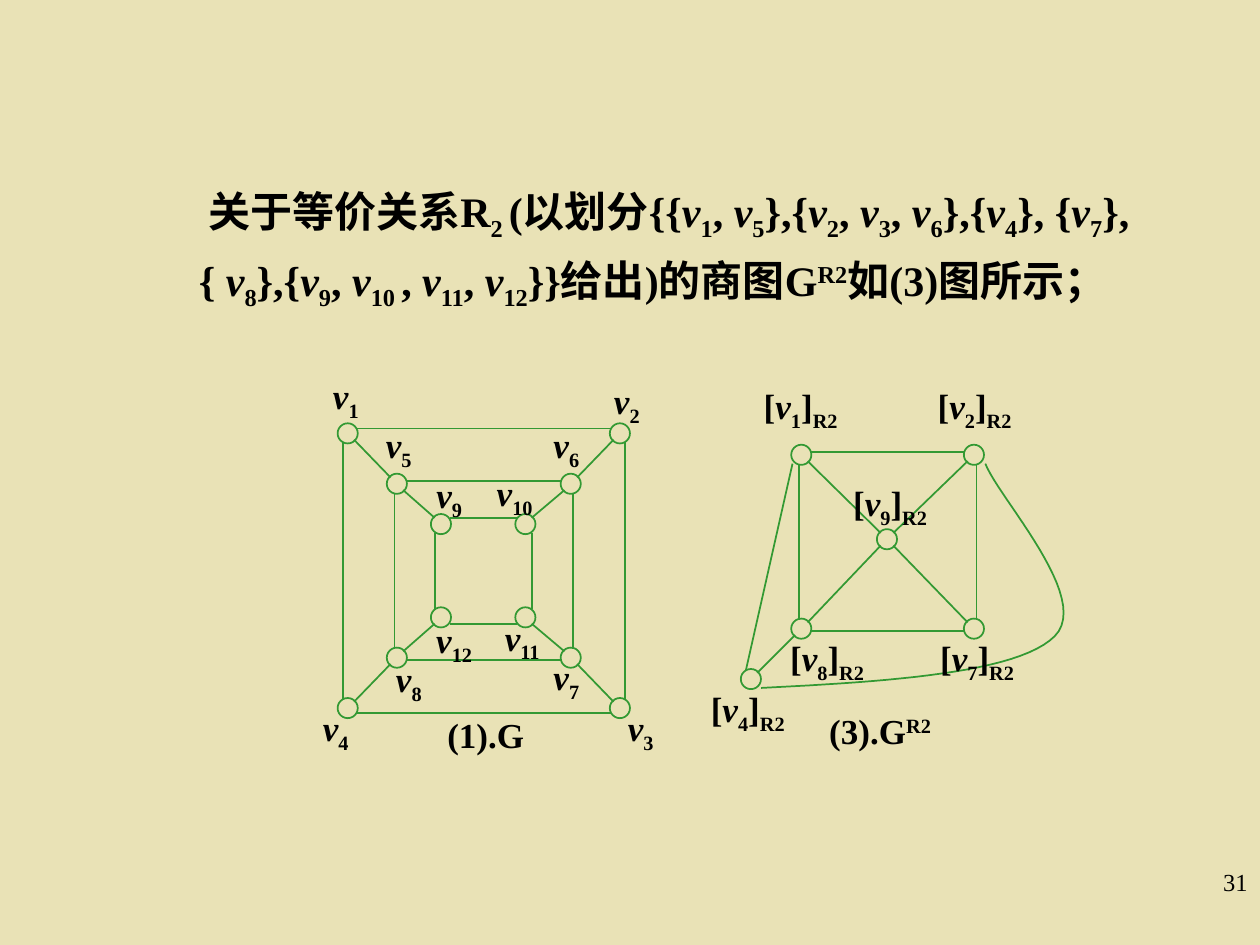
from itertools import product

from lxml import etree
from pptx import Presentation
from pptx.dml.color import RGBColor
from pptx.enum.shapes import MSO_CONNECTOR as Connector, MSO_SHAPE as Shape
from pptx.enum.text import PP_ALIGN as Align
from pptx.oxml.ns import qn
from pptx.util import Inches, Pt

FONT = "Times New Roman"
GREEN, BLACK, SAND = "339933", "000000", "E9E2B6"
NODE = 0.16  # node diameter
BASELINES = {"_": "-25000", "^": "30000"}


def color(hex_code):
    return RGBColor.from_string(hex_code)


def vertex(number):
    """Markup for an italic v with a subscript number."""
    return f"|v|_{number}|"


def add_text(slide, markup, left, top, width, height, size=20, bold=True,
             align=Align.CENTER, inset=(0, 0), spacing=None):
    """Runs are split by |; a leading _ lowers a run, ^ raises it, and v is italic."""
    frame = slide.shapes.add_textbox(Inches(left), Inches(top),
                                     Inches(width), Inches(height)).text_frame
    frame.word_wrap = True
    frame.margin_left = frame.margin_right = Inches(inset[0])
    frame.margin_top = frame.margin_bottom = Inches(inset[1])
    paragraph = frame.paragraphs[0]
    paragraph.alignment = align
    paragraph.line_spacing = spacing
    for part in filter(None, markup.split("|")):
        run = paragraph.add_run()
        run.text = part.lstrip("_^")
        font = run.font
        font.name, font.size, font.bold = FONT, Pt(size), bold
        font.italic = part == "v"
        font.color.rgb = color(BLACK)
        if part[0] in BASELINES:
            run._r.get_or_add_rPr().set("baseline", BASELINES[part[0]])


def style_line(shape):
    shape.line.color.rgb = color(GREEN)
    shape.line.width = Pt(1)


def add_node(slide, x, y):
    node = slide.shapes.add_shape(Shape.OVAL, Inches(x - NODE / 2), Inches(y - NODE / 2),
                                  Inches(NODE), Inches(NODE))
    node.shadow.inherit = False
    node.fill.background()
    style_line(node)


def add_edge(slide, x1, y1, x2, y2):
    edge = slide.shapes.add_connector(Connector.STRAIGHT, Inches(x1), Inches(y1),
                                      Inches(x2), Inches(y2))
    style_line(edge)
    etree.SubElement(edge._element.spPr, qn("a:effectLst"))


def add_spoke(slide, start, end, trim=0.05):
    """Diagonal edge between two node centres, cut back at the circles."""
    (x1, y1), (x2, y2) = start, end
    dx = trim if x2 > x1 else -trim
    dy = trim if y2 > y1 else -trim
    add_edge(slide, x1 + dx, y1 + dy, x2 - dx, y2 - dy)


def add_ring(slide, left, top, right, bottom, outset, gap=0.07):
    """Four corner nodes joined by a square; returns the node centres."""
    corners = list(product((left, right), (top, bottom)))
    for corner in corners:
        add_node(slide, *corner)
    for y in (top - outset, bottom + outset):
        add_edge(slide, left + gap, y, right - gap, y)
    for x in (left - outset, right + outset):
        add_edge(slide, x, top + gap, x, bottom - gap)
    return corners


def add_curve(slide, points):
    """Open line through chained cubic Bezier segments."""
    steps = 24
    track = []
    for first in range(0, len(points) - 1, 3):
        p0, p1, p2, p3 = points[first:first + 4]
        for t in (step / steps for step in range(1, steps + 1)):
            s = 1 - t
            track.append(tuple(
                Inches(s**3 * a + 3 * s * s * t * b + 3 * s * t * t * c + t**3 * d)
                for a, b, c, d in zip(p0, p1, p2, p3)))
    start_x, start_y = points[0]
    builder = slide.shapes.build_freeform(Inches(start_x), Inches(start_y))
    builder.add_line_segments(track, close=False)
    curve = builder.convert_to_shape()
    curve.shadow.inherit = False
    curve.fill.background()
    style_line(curve)


def add_statement(slide, left, top, width, height):
    classes = [(1, 5), (2, 3, 6), (4,), (7,), (8,)]
    c15, c236, c4, c7, c8 = ("{" + ", ".join(map(vertex, c)) + "}" for c in classes)
    last = f"{{{vertex(9)}, |v|_10 |, {vertex(11)}, {vertex(12)}}}"
    c8 = c8.replace("{", "{ ")
    add_text(slide, f" 关于等价关系R|_2 |(以划分{{{c15},{c236},{c4}, {c7}, {c8},{last}}}"
                    "给出)的商图G|^R2|如(3)图所示；",
             left, top, width, height, size=24, align=Align.LEFT,
             inset=(0.1, 0.05), spacing=1.2)


def add_graph(slide, left, top):
    # Nested squares: left, top, right, bottom, outset of the edges
    rings = [(0.26, 0.47, 2.42, 2.65, 0.04),
             (0.65, 0.87, 2.03, 2.25, 0.02),
             (1.0, 1.19, 1.67, 1.93, 0.05)]
    outer, middle, inner = (
        add_ring(slide, left + l, top + t, left + r, top + b, outset)
        for l, t, r, b, outset in rings)
    # Spokes between neighbouring squares
    for start, end in [*zip(outer, middle), *zip(middle, inner)]:
        add_spoke(slide, start, end)
    # Vertex labels
    labels = {1: (0.08, 0), 2: (2.31, 0.04), 3: (2.42, 2.64), 4: (0, 2.64),
              5: (0.5, 0.39), 6: (1.83, 0.39), 7: (1.83, 2.23), 8: (0.58, 2.25),
              9: (0.9, 0.79), 10: (1.42, 0.77), 11: (1.48, 1.92), 12: (0.94, 1.94)}
    for number, (x, y) in labels.items():
        add_text(slide, vertex(number), left + x, top + y, 0.33, 0.38)
    add_text(slide, "(1).G", left + 1.0, top + 2.69, 0.71, 0.33)


def add_quotient_graph(slide, left, top):
    # Square with its hub, and the outlying class of v4
    corners = add_ring(slide, left + 0.74, top + 0.56, left + 2.11, top + 1.94, 0.02)
    hub = (left + 1.42, top + 1.23)
    outlier = (left + 0.34, top + 2.34)
    for centre in (hub, outlier):
        add_node(slide, *centre)
    for corner in corners:
        add_spoke(slide, corner, hub)
    add_spoke(slide, outlier, corners[1])
    add_edge(slide, left + 0.67, top + 0.63, left + 0.3, top + 2.27)
    # Curved edge from v4 round to v2
    bend = [(0.42, 2.41), (1.44, 2.36), (2.46, 2.29), (2.75, 2.0),
            (3.05, 1.7), (2.31, 0.91), (2.2, 0.63)]
    add_curve(slide, [(left + x, top + y) for x, y in bend])
    # Class labels
    labels = {1: (0.42, 0), 2: (1.8, 0), 4: (0, 2.41),
              7: (1.82, 2.0), 8: (0.63, 2.0), 9: (1.13, 0.77)}
    for number, (x, y) in labels.items():
        add_text(slide, f"[{vertex(number)}]|_R2", left + x, top + y, 0.63, 0.38)
    add_text(slide, "(3).G|^R2", left + 0.92, top + 2.58, 0.89, 0.33)


def main():
    deck = Presentation()
    deck.slide_width, deck.slide_height = Inches(10), Inches(7.5)
    slide = deck.slides.add_slide(deck.slide_layouts[6])
    slide.background.fill.solid()
    slide.background.fill.fore_color.rgb = color(SAND)
    add_statement(slide, 1.48, 1.33, 8.13, 1.19)
    add_quotient_graph(slide, 5.62, 3.05)
    add_graph(slide, 2.5, 2.97)
    # Page number
    add_text(slide, "31", 7.92, 6.83, 2.08, 0.5, size=14, bold=False,
             align=Align.RIGHT, inset=(0.1, 0.05))
    deck.save("out.pptx")


if __name__ == "__main__":
    main()
